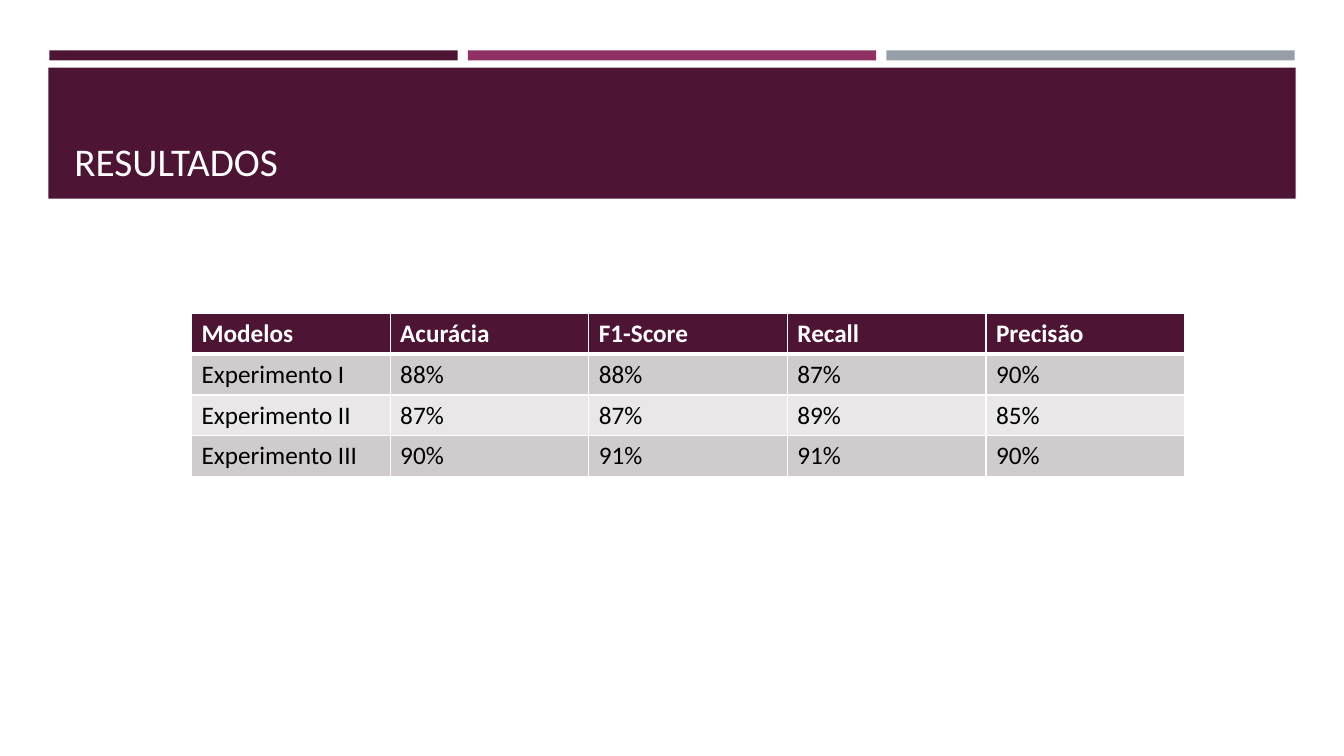
from lxml import etree
from pptx import Presentation
from pptx.dml.color import RGBColor
from pptx.enum.shapes import MSO_SHAPE
from pptx.enum.text import MSO_ANCHOR, PP_ALIGN
from pptx.oxml.ns import qn
from pptx.util import Inches, Pt

RECTANGLE = MSO_SHAPE.RECTANGLE
BOTTOM = MSO_ANCHOR.BOTTOM
LEFT = PP_ALIGN.LEFT

TITLE = "RESULTADOS"
RESULTS = [
    ("Modelos", "Acurácia", "F1-Score", "Recall", "Precisão"),
    ("Experimento I", "88%", "88%", "87%", "90%"),
    ("Experimento II", "87%", "87%", "89%", "85%"),
    ("Experimento III", "90%", "91%", "91%", "90%"),
]
COLORS = {
    "plum": "4D1434",
    "magenta": "903163",
    "gray": "969FA7",
    "odd_row": "D0CCCE",
    "even_row": "E9E7E8",
    "white": "FFFFFF",
    "black": "000000",
}
FONT = "Calibri"
STRIPES = ["plum", "magenta", "gray"]
STRIPE_LEFT, STRIPE_TOP, STRIPE_WIDTH, STRIPE_HEIGHT = 0.49, 0.5, 4.05, 0.1
STRIPE_STEP = 4.15
BANNER = (0.48, 0.67, 12.37, 1.3)
TITLE_BOX = (0.64, 0.77, 12.06, 1.11)
TABLE_LEFT, TABLE_TOP = 1.9, 3.11
COLUMN_WIDTH, ROW_HEIGHT = 1.97, 0.405
THIN, THICK = 1, 3


def color(name):
    return RGBColor.from_string(COLORS[name])


def add_block(slide, box, fill):
    shape = slide.shapes.add_shape(RECTANGLE, *map(Inches, box))
    shape.shadow.inherit = False
    shape.fill.solid()
    shape.fill.fore_color.rgb = color(fill)
    shape.line.fill.background()


def style_text(paragraph, size, font_color, bold=False):
    paragraph.alignment = LEFT
    paragraph.font.name = FONT
    paragraph.font.size = Pt(size)
    paragraph.font.bold = bold
    paragraph.font.color.rgb = color(font_color)


def add_title(slide):
    frame = slide.shapes.add_textbox(*map(Inches, TITLE_BOX)).text_frame
    frame.word_wrap = True
    frame.vertical_anchor = BOTTOM
    frame.text = TITLE
    style_text(frame.paragraphs[0], 28, "white")


def set_borders(cell, widths):
    properties = cell._tc.get_or_add_tcPr()
    for position, (side, width) in enumerate(widths.items()):
        line = etree.Element(qn(f"a:{side}"), w=str(Pt(width)))
        fill = etree.SubElement(line, qn("a:solidFill"))
        etree.SubElement(fill, qn("a:srgbClr"), val=COLORS["white"])
        properties.insert(position, line)


def add_results_table(slide):
    row_count, column_count = len(RESULTS), len(RESULTS[0])
    table = slide.shapes.add_table(
        row_count, column_count, Inches(TABLE_LEFT), Inches(TABLE_TOP),
        Inches(COLUMN_WIDTH * column_count), Inches(ROW_HEIGHT * row_count),
    ).table
    for column in table.columns:
        column.width = Inches(COLUMN_WIDTH)
    for row_index, values in enumerate(RESULTS):
        table.rows[row_index].height = Inches(ROW_HEIGHT)
        header = row_index == 0
        fill = "plum" if header else "odd_row" if row_index % 2 else "even_row"
        borders = {
            "lnL": THIN,
            "lnR": THIN,
            "lnT": THICK if row_index == 1 else THIN,
            "lnB": THICK if header else THIN,
        }
        for column_index, value in enumerate(values):
            cell = table.cell(row_index, column_index)
            cell.text = value
            cell.fill.solid()
            cell.fill.fore_color.rgb = color(fill)
            style_text(cell.text_frame.paragraphs[0], 18,
                       "white" if header else "black", header)
            set_borders(cell, borders)


def main():
    """Build the results slide with its banner and metrics table."""
    presentation = Presentation()
    presentation.slide_width = Inches(13.33)
    presentation.slide_height = Inches(7.5)
    slide = presentation.slides.add_slide(presentation.slide_layouts[6])
    for index, fill in enumerate(STRIPES):
        left = STRIPE_LEFT + index * STRIPE_STEP
        add_block(slide, (left, STRIPE_TOP, STRIPE_WIDTH, STRIPE_HEIGHT), fill)
    add_block(slide, BANNER, "plum")
    add_title(slide)
    add_results_table(slide)
    presentation.save("out.pptx")


if __name__ == "__main__":
    main()
